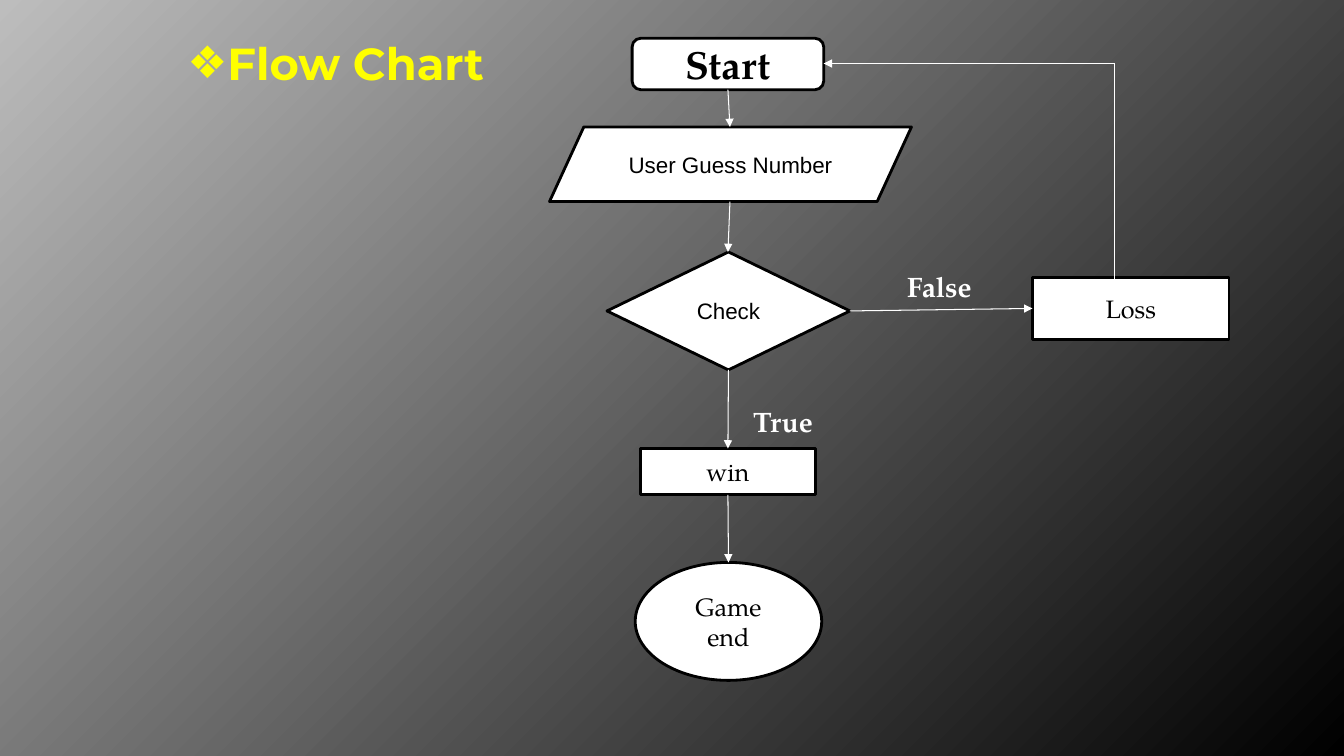
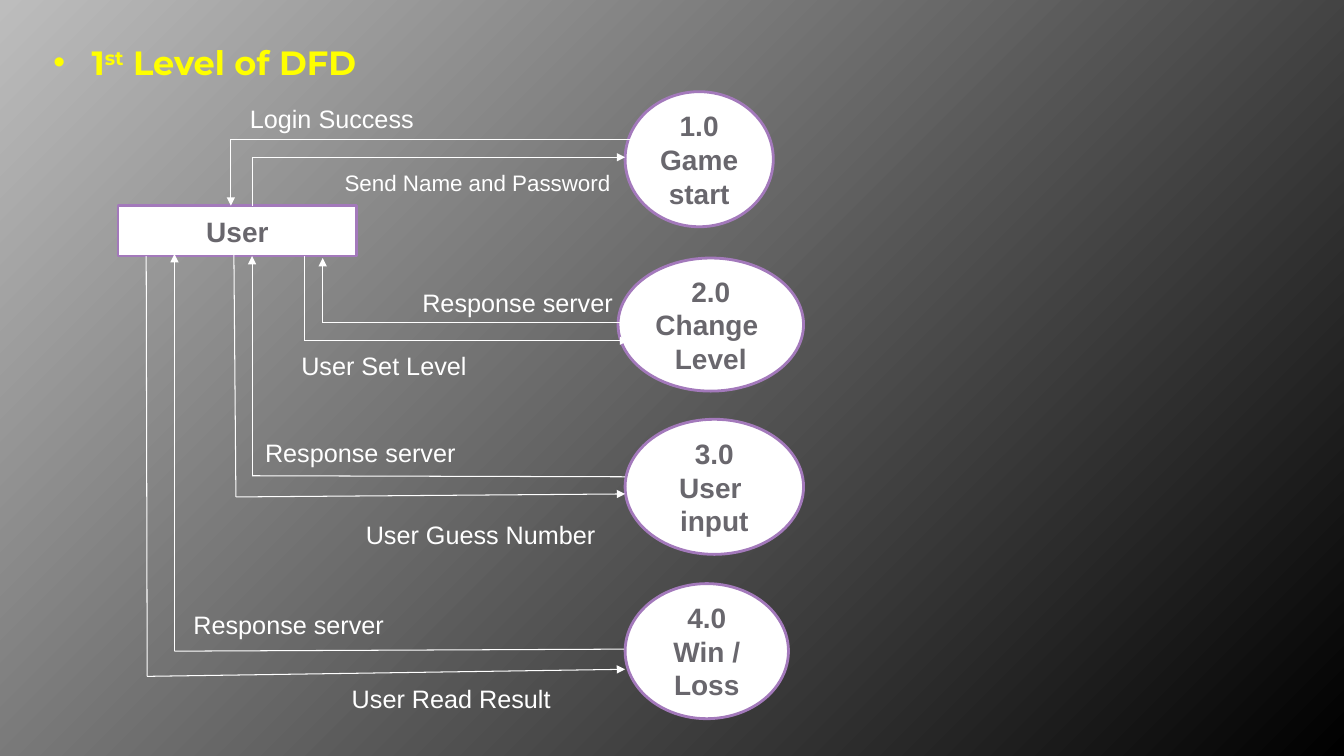
from dataclasses import dataclass

from lxml import etree
from pptx import Presentation
from pptx import util as u
from pptx.dml.color import RGBColor
from pptx.enum import shapes, text
from pptx.oxml import ns

PX = 9144  # one px is a hundredth of an inch
PRESET = shapes.MSO_SHAPE
TOP, LEFT, BOTTOM, RIGHT = range(4)  # connection sites


@dataclass(frozen=True)
class Style:
    size: int
    font: str
    color: str
    bold: bool = False


@dataclass(frozen=True)
class Theme:
    gradient: tuple = ("BDBDBD", "000000")
    white: str = "FFFFFF"
    black: str = "000000"
    purple: str = "A379BB"
    outline: float = 2
    arrow: float = 0.75
    heading: Style = Style(32, "Montserrat", "FFFF00", True)
    subheading: Style = Style(24, "Montserrat", "FFFF00", True)
    start: Style = Style(28, "TeX Gyre Pagella", "000000", True)
    step: Style = Style(16, "Arial", "000000")
    result: Style = Style(18, "TeX Gyre Pagella", "000000")
    branch: Style = Style(20, "TeX Gyre Pagella", "FFFFFF", True)
    process: Style = Style(20, "Arial", "69676D", True)
    flow: Style = Style(18, "Arial", "FFFFFF")
    small_flow: Style = Style(16, "Arial", "FFFFFF")


THEME = Theme()


def px(*lengths):
    return [u.Emu(length * PX) for length in lengths]


def rgb(color):
    return RGBColor.from_string(color)


# Shared background
def set_background(master):
    fill = master.background.fill
    fill.gradient()
    for stop, color in zip(fill.gradient_stops, THEME.gradient):
        stop.color.rgb = rgb(color)
    gradient = next(master.element.iter(ns.qn("a:gradFill")))
    linear = gradient.find(ns.qn("a:lin"))
    if linear is not None:
        gradient.remove(linear)
    circle = etree.SubElement(gradient, ns.qn("a:path"), {"path": "circle"})
    etree.SubElement(circle, ns.qn("a:fillToRect"), {"r": "100000", "b": "100000"})


# Text
def add_run(paragraph, words, style, raised=False):
    run = paragraph.add_run()
    run.text = words
    font = run.font
    font.size, font.name, font.bold = u.Pt(style.size), style.font, style.bold
    font.color.rgb = rgb(style.color)
    if raised:
        run._r.get_or_add_rPr().set("baseline", "30000")


def add_text_box(slide, box, wrap):
    frame = slide.shapes.add_textbox(*px(*box)).text_frame
    frame.word_wrap = wrap
    return frame.paragraphs[0]


def add_label(slide, box, words, style):
    add_run(add_text_box(slide, box, False), words, style)


def add_title(slide, box, bullet, style, runs, align=text.PP_ALIGN.LEFT):
    """Bulleted title; each run is a pair of words and a raised flag."""
    paragraph = add_text_box(slide, box, True)
    paragraph.alignment = align
    properties = paragraph._p.get_or_add_pPr()
    indent = 38 * PX
    properties.set("marL", str(indent))
    properties.set("indent", str(-indent))
    etree.SubElement(properties, ns.qn("a:buFont"), {"typeface": "Arial"})
    etree.SubElement(properties, ns.qn("a:buChar"), {"char": bullet})
    for words, raised in runs:
        add_run(paragraph, words, style, raised)


# Nodes and arrows
def add_node(slide, preset, box, lines, style, outline):
    shape = slide.shapes.add_shape(preset, *px(*box))
    shape.shadow.inherit = False
    shape.fill.solid()
    shape.fill.fore_color.rgb = rgb(THEME.white)
    shape.line.color.rgb = rgb(outline)
    shape.line.width = u.Pt(THEME.outline)
    frame = shape.text_frame
    frame.vertical_anchor = text.MSO_ANCHOR.MIDDLE
    for index, words in enumerate(lines):
        paragraph = frame.add_paragraph() if index else frame.paragraphs[0]
        paragraph.alignment = text.PP_ALIGN.CENTER
        add_run(paragraph, words, style)
    return shape


def add_line(slide, start, end, arrow=True):
    line = slide.shapes.add_connector(shapes.MSO_CONNECTOR.STRAIGHT, *px(*start, *end))
    line.line.color.rgb = rgb(THEME.white)
    line.line.width = u.Pt(THEME.arrow)
    properties = line._element.spPr
    if arrow:
        outline = properties.find(ns.qn("a:ln"))
        etree.SubElement(outline, ns.qn("a:tailEnd"), {"type": "triangle"})
    etree.SubElement(properties, ns.qn("a:effectLst"))
    return line


def add_route(slide, *points):
    """Bent path with an arrowhead on its last leg."""
    for index in range(1, len(points)):
        add_line(slide, points[index - 1], points[index], index == len(points) - 1)


def connect(slide, source, source_site, target, target_site):
    line = add_line(slide, (0, 0), (0, 0))
    line.begin_connect(source, source_site)
    line.end_connect(target, target_site)


# Slides
def build_flow_chart(slide):
    def node(preset, box, words, style):
        return add_node(slide, preset, box, [words], style, THEME.black)

    add_title(slide, (102, 31, 462, 64), "❖", THEME.heading,
              [("Flow Chart", False)], text.PP_ALIGN.CENTER)

    node(PRESET.ROUNDED_RECTANGLE, (627, 38, 190, 51), "Start", THEME.start)
    guess = node(PRESET.PARALLELOGRAM, (545, 126, 359, 74), "User Guess Number", THEME.step)
    guess.adjustments[0] = 0.46
    check = node(PRESET.DIAMOND, (602, 250, 241, 117), "Check", THEME.step)
    loss = node(PRESET.RECTANGLE, (1024, 275, 195, 62), "Loss", THEME.result)
    win = node(PRESET.RECTANGLE, (635, 445, 174, 46), "win", THEME.result)
    end = node(PRESET.OVAL, (630, 558, 185, 117), "Game end", THEME.result)

    add_line(slide, (722, 89), (724, 126))
    add_line(slide, (724, 200), (722, 250))
    connect(slide, check, RIGHT, loss, LEFT)
    connect(slide, check, BOTTOM, win, TOP)
    connect(slide, win, BOTTOM, end, TOP)
    add_route(slide, (1105, 283), (1105, 63), (817, 63))

    add_label(slide, (737, 396, 79, 44), "True", THEME.branch)
    add_label(slide, (890, 262, 84, 44), "False", THEME.branch)


def build_data_flow(slide):
    add_title(slide, (43, 37, 425, 50), "•", THEME.subheading,
              [("1", False), ("st", True), (" Level of DFD", False)])

    nodes = [
        (PRESET.RECTANGLE, (117, 204, 237, 50), ["User"]),
        (PRESET.OVAL, (620, 91, 147, 134), ["1.0", "Game start"]),
        (PRESET.OVAL, (613, 256, 184, 132), ["2.0", "Change ", "Level"]),
        (PRESET.OVAL, (620, 416, 177, 134), ["3.0", "User ", "input"]),
        (PRESET.OVAL, (620, 579, 162, 134), ["4.0", "Win / Loss"]),
    ]
    for preset, box, lines in nodes:
        add_node(slide, preset, box, lines, THEME.process, THEME.purple)

    # One route to each process and one back to the user
    routes = [
        [(250, 204), (250, 156), (620, 156)],
        [(635, 138), (229, 138), (229, 204)],
        [(302, 254), (302, 338), (623, 338)],
        [(623, 320), (320, 320), (320, 256)],
        [(232, 251), (234, 493), (620, 490)],
        [(620, 473), (250, 472), (250, 254)],
        [(145, 254), (146, 671), (620, 664)],
        [(619, 644), (173, 646), (173, 252)],
    ]
    for route in routes:
        add_route(slide, *route)

    labels = [
        ((238, 98, 184, 40), "Login Success", THEME.flow),
        ((332, 163, 287, 37), "Send Name and Password", THEME.small_flow),
        ((409, 280, 211, 40), "Response server", THEME.flow),
        ((289, 343, 186, 40), "User Set Level", THEME.flow),
        ((253, 429, 211, 40), "Response server", THEME.flow),
        ((353, 510, 250, 40), "User Guess Number", THEME.flow),
        ((182, 600, 211, 40), "Response server", THEME.flow),
        ((339, 673, 219, 40), "User Read Result", THEME.flow),
    ]
    for box, words, style in labels:
        add_label(slide, box, words, style)


def main():
    presentation = Presentation()
    presentation.slide_width, presentation.slide_height = px(1333, 750)
    set_background(presentation.slide_master)
    blank = presentation.slide_layouts[6]
    for build in (build_flow_chart, build_data_flow):
        build(presentation.slides.add_slide(blank))
    presentation.save("out.pptx")


if __name__ == "__main__":
    main()
